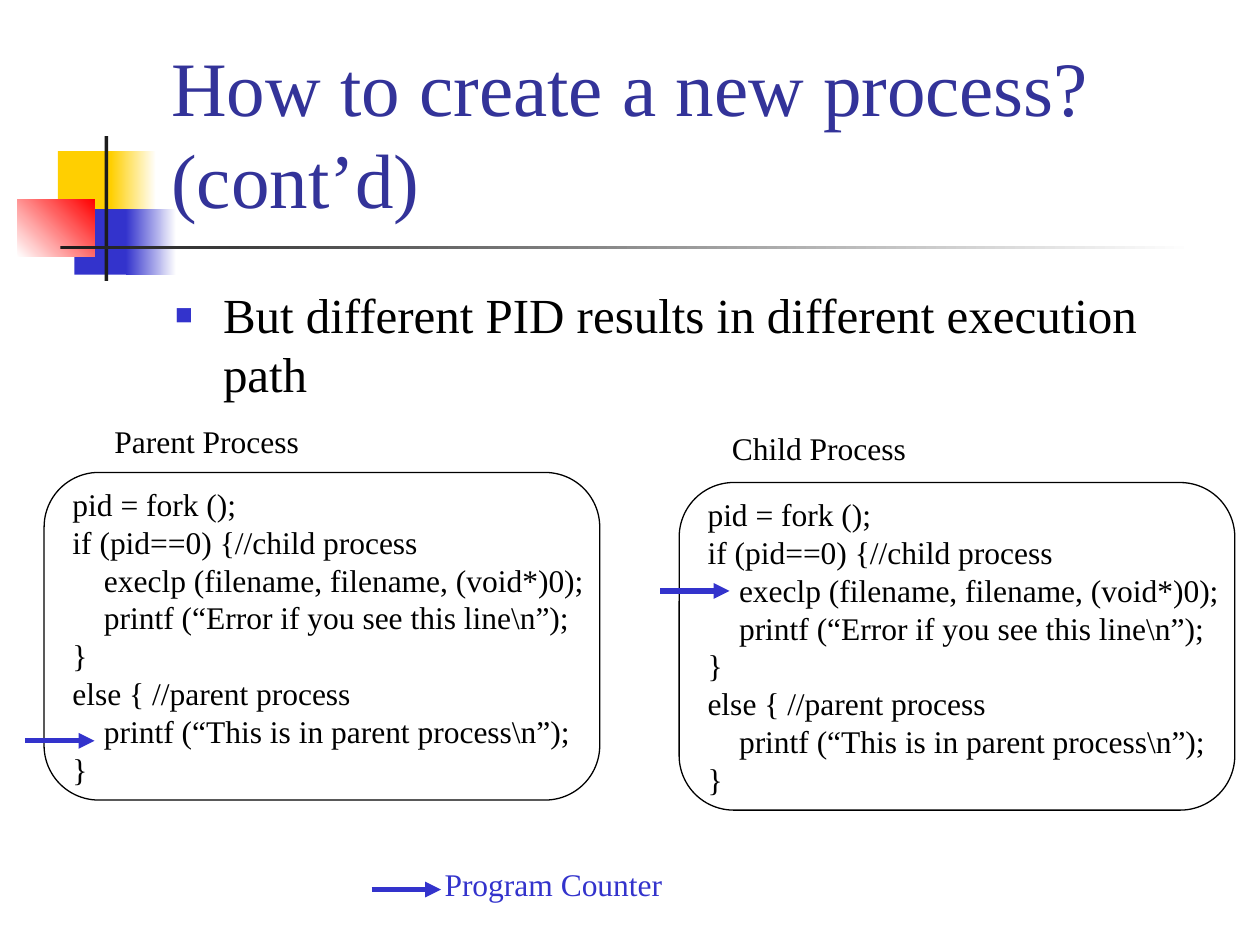
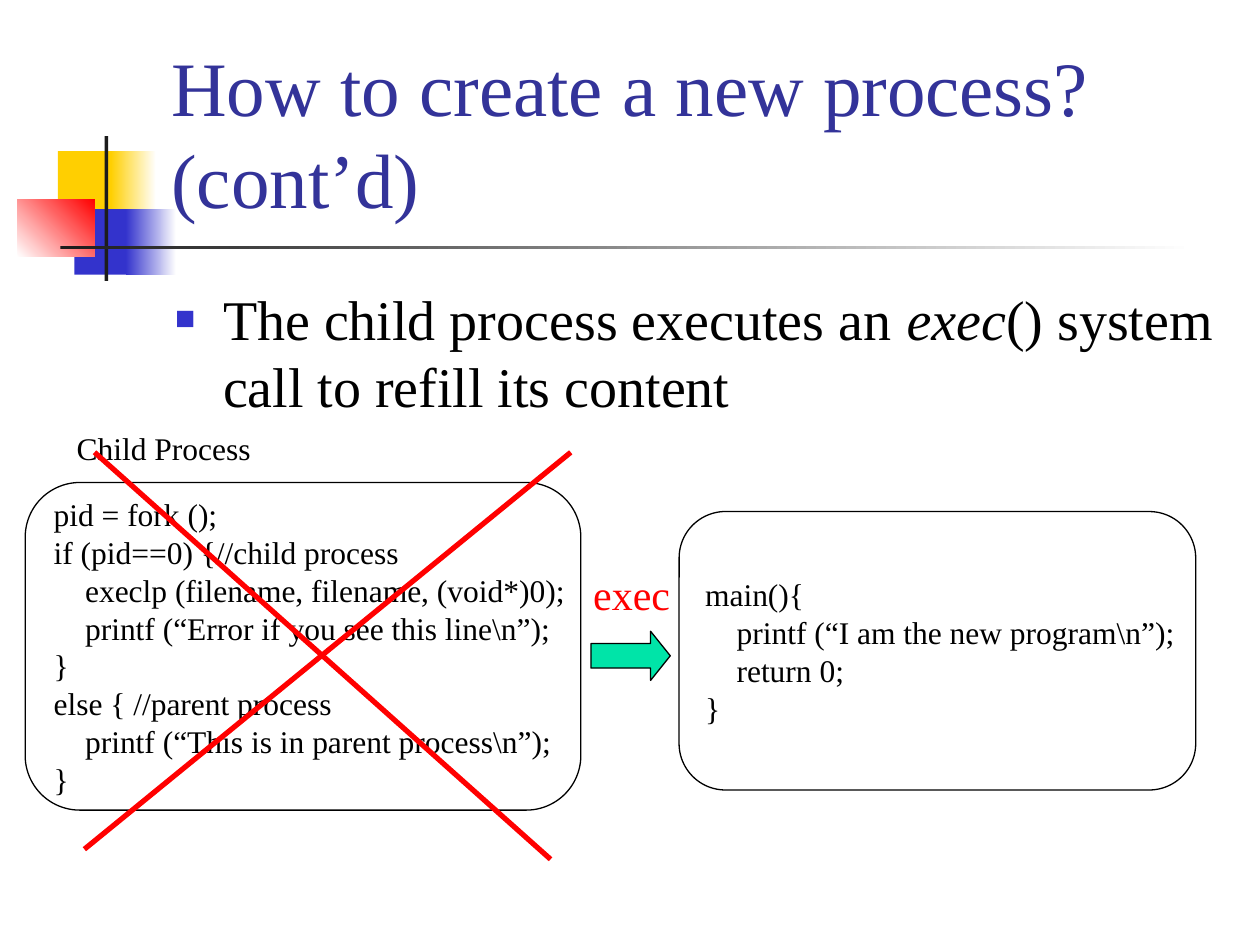
"""Build two slides on creating a process with fork and exec."""
from lxml.etree import SubElement
from pptx import Presentation
from pptx.dml.color import RGBColor
from pptx.enum.shapes import MSO_CONNECTOR, MSO_SHAPE
from pptx.enum.text import MSO_ANCHOR, MSO_AUTO_SIZE, PP_ALIGN
from pptx.oxml.ns import qn
from pptx.util import Inches, Pt

BLACK = RGBColor(0x00, 0x00, 0x00)
WHITE = RGBColor(0xFF, 0xFF, 0xFF)
NAVY = RGBColor(0x33, 0x33, 0x99)
BLUE = RGBColor(0x33, 0x33, 0xCC)
GOLD = RGBColor(0xFF, 0xCF, 0x01)
RED = RGBColor(0xFF, 0x00, 0x00)
GREEN = RGBColor(0x00, 0xE4, 0xA8)
DARK = RGBColor(0x1C, 0x1C, 0x1C)
FONT = "Times New Roman"
TITLE = "How to create a new process? (cont’d)"

FORK = [
    (0, "pid = fork ();"),
    (0, "if (pid==0) {//child process"),
    (1, "execlp (filename, filename, (void*)0);"),
    (1, "printf (“Error if you see this line\\n”);"),
    (0, "}"),
    (0, "else { //parent process"),
    (1, "printf (“This is in parent process\\n”);"),
    (0, "}"),
]
MAIN = [
    (0, "main(){"),
    (1, "printf (“I am the new program\\n”);"),
    (1, "return 0;"),
    (0, "}"),
]

DECOR = [
    ((0.46, 1.2, 0.48, 0.52), [GOLD], 0),
    ((0.88, 1.2, 0.36, 0.52), [GOLD, WHITE], 0),
    ((0.59, 1.66, 0.46, 0.52), [BLUE], 0),
    ((1, 1.66, 0.4, 0.52), [BLUE, WHITE], 0),
    ((0.14, 1.58, 0.61, 0.46), [WHITE, RED], 45),
    ((0.83, 1.08, 0.03, 1.15), [DARK], 0),
    ((0.48, 1.95, 9, 0.03), [DARK, WHITE], 0),
]

SLIDES = [
    {
        "body": [("But different PID results in different execution path", False)],
        "size": 28, "gap": 7, "tall": 1.15,
        "panels": [((0.35, 3.75, 4.41, 2.6), FORK), ((5.39, 3.83, 4.41, 2.6), FORK)],
        "blocks": [],
        "labels": [
            ((0.81, 3.3, 1.75, 0.4), "Parent Process", 18, BLACK),
            ((5.71, 3.36, 1.65, 0.4), "Child Process", 18, BLACK),
            ((3.43, 6.82, 2, 0.4), "Program Counter", 18, BLUE),
        ],
        "lines": [
            ((x, y, x + 0.55, y), BLUE, True)
            for x, y in [(0.2, 5.88), (5.24, 4.69), (2.95, 7.06)]
        ],
    },
    {
        "body": [
            ("The child process executes an ", False),
            ("exec", True),
            ("() system call to refill its content", False),
        ],
        "size": 32, "gap": 8, "tall": 1.31,
        "panels": [((0.2, 3.83, 4.41, 2.6), FORK), ((5.39, 4.06, 4.1, 2.21), MAIN)],
        "blocks": [(4.69, 5.01, 0.63, 0.39)],
        "labels": [
            ((0.51, 3.36, 1.65, 0.4), "Child Process", 18, BLACK),
            ((4.61, 4.46, 0.85, 0.5), "exec", 24, RED),
        ],
        "lines": [
            ((4.53, 3.59, 0.67, 6.74), RED, False),
            ((0.75, 3.59, 4.37, 6.82), RED, False),
        ],
    },
]


def style(run, size, color, italic=False):
    for key, value in {"name": FONT, "size": Pt(size), "italic": italic}.items():
        setattr(run.font, key, value)
    run.font.color.rgb = color


def outline(shape):
    shape.shadow.inherit = False
    shape.line.color.rgb = BLACK
    shape.line.width = Pt(0.74)


deck = Presentation()
deck.slide_width, deck.slide_height = Inches(10), Inches(7.5)
master = deck.slide_master
layout = deck.slide_layouts[1]
pages = [deck.slides.add_slide(layout) for _ in SLIDES]

for i, (box, colors, angle) in enumerate(DECOR):
    shape = pages[0].shapes.add_shape(MSO_SHAPE.RECTANGLE, *map(Inches, box))
    shape.shadow.inherit = False
    shape.line.fill.background()
    if len(colors) == 1:
        shape.fill.solid()
        shape.fill.fore_color.rgb = colors[0]
    else:
        shape.fill.gradient()
        shape.fill.gradient_angle = angle
        for stop, color in zip(shape.fill.gradient_stops, colors):
            stop.color.rgb = color
    shape.element.nvSpPr.cNvPr.set("id", str(20 + i))
    master.shapes.element.insert(2 + i, shape.element)

for page, data in zip(pages, SLIDES):
    title, body = page.placeholders
    spots = [
        (title, (1.26, 0.23, 8.52, 1.6), MSO_ANCHOR.BOTTOM),
        (body, (1.29, 2.21, 8.5, data["tall"]), MSO_ANCHOR.TOP),
    ]
    for holder, box, anchor in spots:
        for key, value in zip(("left", "top", "width", "height"), box):
            setattr(holder, key, Inches(value))
        frame = holder.text_frame
        frame.auto_size = MSO_AUTO_SIZE.NONE
        frame.vertical_anchor = anchor
        frame.word_wrap = True
        frame.paragraphs[0].alignment = PP_ALIGN.LEFT

    run = title.text_frame.paragraphs[0].add_run()
    run.text = TITLE
    style(run, 44, NAVY)

    para = body.text_frame.paragraphs[0]
    para.space_before = Pt(data["gap"])
    for text, italic in data["body"]:
        run = para.add_run()
        run.text = text
        style(run, data["size"], BLACK, italic)
    props = para._p.get_or_add_pPr()
    props.set("marL", str(Inches(0.38)))
    props.set("indent", str(Inches(-0.38)))
    tint = SubElement(props, qn("a:buClr"))
    SubElement(tint, qn("a:srgbClr"), val=str(BLUE))
    SubElement(props, qn("a:buSzPct"), val="60000")
    SubElement(props, qn("a:buFont"), typeface=FONT)
    SubElement(props, qn("a:buChar"), char="■")

    for box, code in data["panels"]:
        panel = page.shapes.add_shape(MSO_SHAPE.ROUNDED_RECTANGLE, *map(Inches, box))
        outline(panel)
        panel.fill.background()
        frame = panel.text_frame
        frame.word_wrap = False
        frame.vertical_anchor = MSO_ANCHOR.MIDDLE
        for i, (level, text) in enumerate(code):
            para = frame.add_paragraph() if i else frame.paragraphs[0]
            para.alignment = PP_ALIGN.LEFT
            para._p.get_or_add_pPr().set("marL", str(Inches(0.25 * level)))
            run = para.add_run()
            run.text = text
            style(run, 18, BLACK)

    for box in data["blocks"]:
        block = page.shapes.add_shape(MSO_SHAPE.RIGHT_ARROW, *map(Inches, box))
        outline(block)
        block.adjustments[1] = 0.4
        block.fill.solid()
        block.fill.fore_color.rgb = GREEN

    for box, text, size, color in data["labels"]:
        frame = page.shapes.add_textbox(*map(Inches, box)).text_frame
        frame.word_wrap = True
        frame.auto_size = MSO_AUTO_SIZE.NONE
        run = frame.paragraphs[0].add_run()
        run.text = text
        style(run, size, color)

    for ends, color, arrow in data["lines"]:
        line = page.shapes.add_connector(MSO_CONNECTOR.STRAIGHT, *map(Inches, ends))
        line.line.color.rgb = color
        line.line.width = Pt(3)
        if arrow:
            SubElement(line.line._get_or_add_ln(), qn("a:tailEnd"), type="triangle")
        SubElement(line.element.spPr, qn("a:effectLst"))

deck.save("out.pptx")
